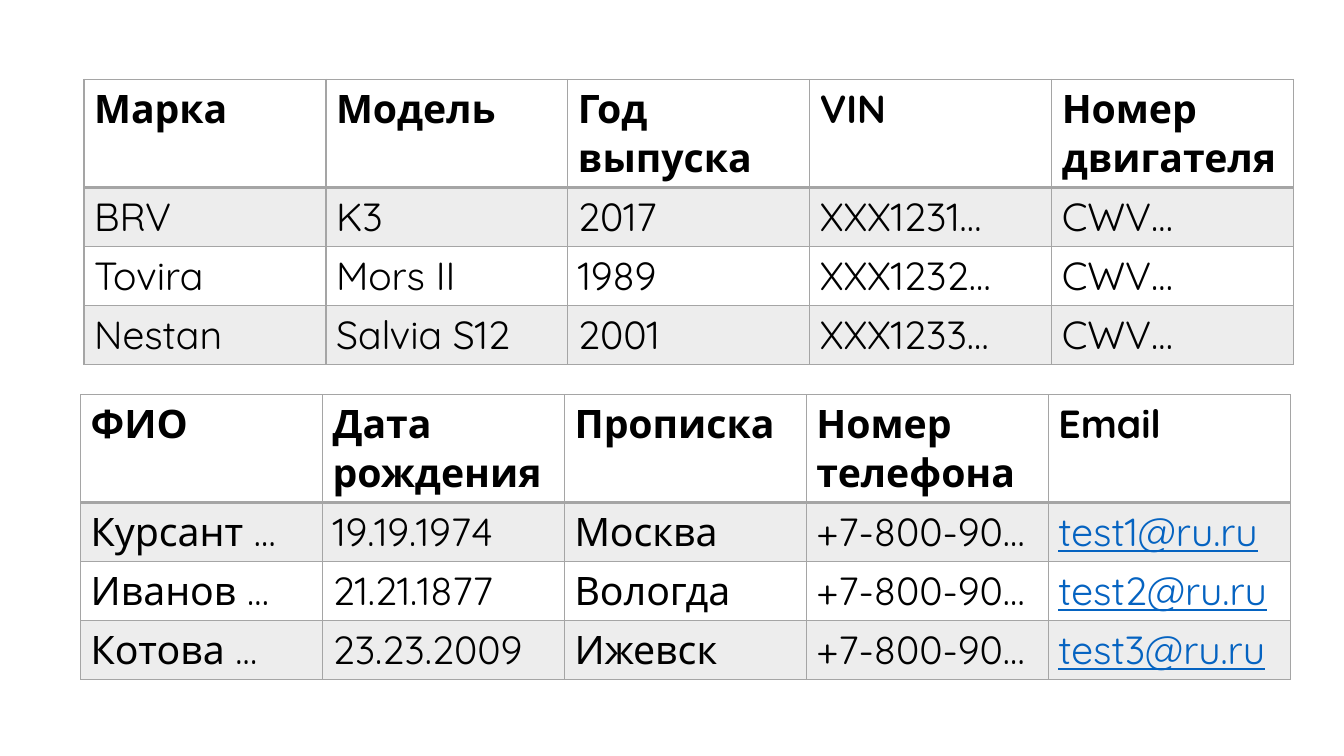
from dataclasses import dataclass

from lxml import etree
from pptx import Presentation
from pptx.dml.color import RGBColor
from pptx.oxml import ns
from pptx.slide import Slide
from pptx.table import _Cell
from pptx.util import Pt

BLACK = RGBColor(0x00, 0x00, 0x00)
WHITE = RGBColor(0xFF, 0xFF, 0xFF)
GRID_GREY = RGBColor(0xA5, 0xA5, 0xA5)
BAND_GREY = RGBColor(0xED, 0xED, 0xED)
LINK_BLUE = RGBColor(0x05, 0x63, 0xC1)

COLUMN_WIDTH = Pt(172.8)
HEADER_HEIGHT = Pt(77)
RECORD_HEIGHT = Pt(42.2)
THIN, THICK = Pt(1), Pt(2)


@dataclass(frozen=True)
class Register:
    left: Pt
    top: Pt
    headings: tuple[str, ...]
    records: tuple[tuple[str, ...], ...]


CARS = Register(
    Pt(60), Pt(56.8),
    ("Марка", "Модель", "Год выпуска", "VIN", "Номер двигателя"),
    (
        ("BRV", "K3", "2017", "XXX1231…", "CWV…"),
        ("Tovira", "Mors II", "1989", "XXX1232…", "CWV…"),
        ("Nestan", "Salvia S12", "2001", "XXX1233…", "CWV…"),
    ),
)
OWNERS = Register(
    Pt(57.6), Pt(282),
    ("ФИО", "Дата рождения", "Прописка", "Номер телефона", "Email"),
    (
        ("Курсант …", "19.19.1974", "Москва", "+7-800-90…", "test1@ru.ru"),
        ("Иванов …", "21.21.1877", "Вологда", "+7-800-90…", "test2@ru.ru"),
        ("Котова …", "23.23.2009", "Ижевск", "+7-800-90…", "test3@ru.ru"),
    ),
)


def draw_borders(cell: _Cell, row: int) -> None:
    widths = {
        "a:lnL": THIN,
        "a:lnR": THIN,
        "a:lnT": THICK if row == 1 else THIN,
        "a:lnB": THICK if row == 0 else THIN,
    }
    properties = cell._tc.get_or_add_tcPr()
    for side, width in widths.items():
        border = etree.SubElement(properties, ns.qn(side), w=str(int(width)))
        paint = etree.SubElement(border, ns.qn("a:solidFill"))
        etree.SubElement(paint, ns.qn("a:srgbClr"), val=str(GRID_GREY))


def fill_cell(cell: _Cell, wording: str, row: int) -> None:
    draw_borders(cell, row)
    cell.fill.solid()
    cell.fill.fore_color.rgb = BAND_GREY if row % 2 else WHITE
    entry = cell.text_frame.paragraphs[0].add_run()
    entry.text = wording
    is_email = "@" in wording
    formats = {
        "name": "Quicksand",
        "size": Pt(28),
        "bold": row == 0,
        "underline": is_email,
    }
    for attribute, value in formats.items():
        setattr(entry.font, attribute, value)
    entry.font.color.rgb = LINK_BLUE if is_email else BLACK


def draw_register(slide: Slide, register: Register) -> None:
    lines = (register.headings, *register.records)
    heights = [HEADER_HEIGHT] + [RECORD_HEIGHT] * len(register.records)
    count = len(register.headings)
    grid = slide.shapes.add_table(
        len(lines), count, register.left, register.top,
        COLUMN_WIDTH * count, sum(heights),
    ).table
    for column in grid.columns:
        column.width = COLUMN_WIDTH
    for row, (line, height) in enumerate(zip(lines, heights)):
        grid.rows[row].height = height
        for column, wording in enumerate(line):
            fill_cell(grid.cell(row, column), wording, row)


deck = Presentation()
deck.slide_width, deck.slide_height = Pt(960), Pt(540)
registers_slide = deck.slides.add_slide(deck.slide_layouts[6])
for register in (CARS, OWNERS):
    draw_register(registers_slide, register)
deck.save("out.pptx")
